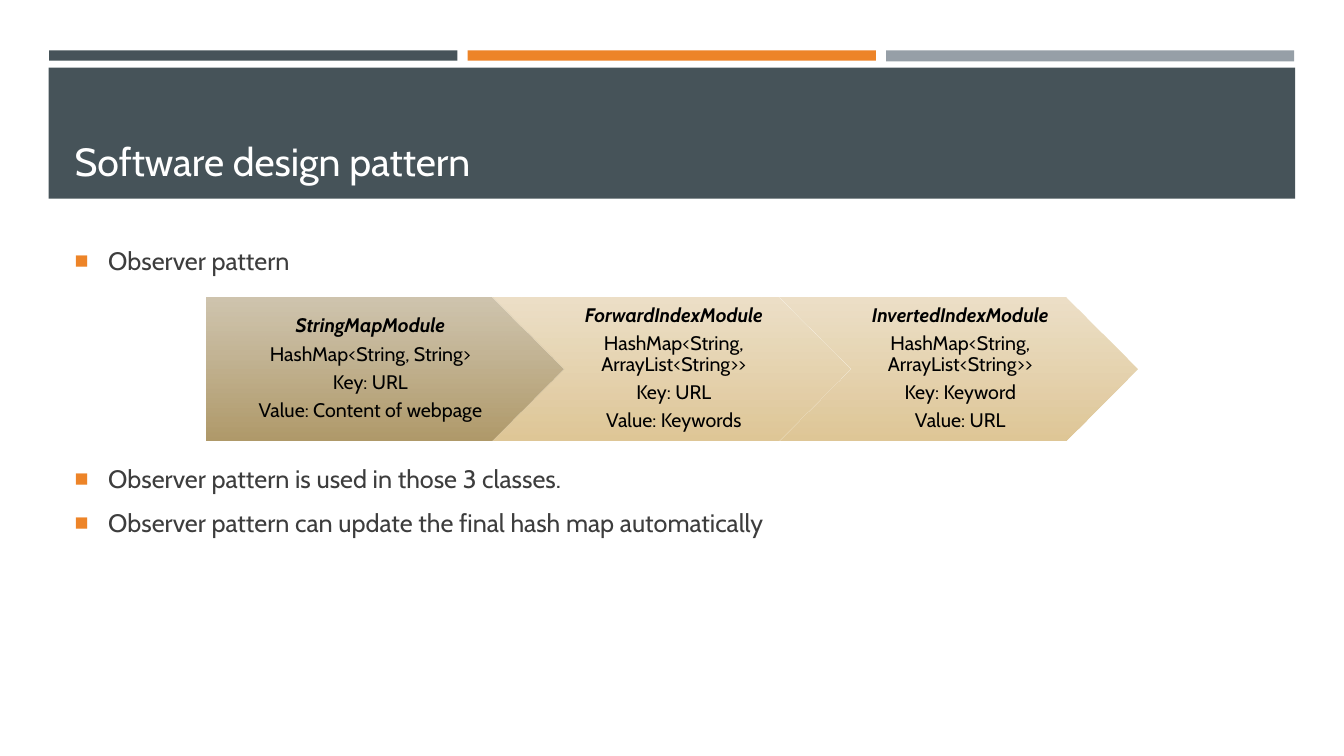
"""Build the slide on the observer pattern and its three modules."""
from lxml import etree
from pptx import Presentation
from pptx.dml.color import RGBColor
from pptx.enum import shapes, text
from pptx.oxml import ns
from pptx.util import Pt

SLATE = RGBColor(0x46, 0x53, 0x59)
ORANGE = RGBColor(0xED, 0x84, 0x28)
GREY = RGBColor(0x96, 0x9F, 0xA7)
WHITE = RGBColor(0xFF, 0xFF, 0xFF)
BLACK = RGBColor(0, 0, 0)
INK = RGBColor(0x3D, 0x3D, 0x3D)
TAUPE = (RGBColor(0xCA, 0xBE, 0xA5), RGBColor(0xB0, 0x9A, 0x6A))
SAND = (RGBColor(0xEB, 0xDC, 0xC1), RGBColor(0xDF, 0xC7, 0x97))
FONT = "Cabin"
RECT = shapes.MSO_SHAPE.RECTANGLE
PLATE = shapes.MSO_SHAPE.PENTAGON
CHEVRON = shapes.MSO_SHAPE.CHEVRON

TITLE = "Software design pattern"
BULLETS = [
    ("Observer pattern", 3.6),
    ("Observer pattern is used in those 3 classes.", 128.4),
    ("Observer pattern can update the final hash map automatically", 3.6),
]
MODULES = [
    (PLATE, TAUPE, 5.6, ["StringMapModule", "HashMap<String, String>",
                         "Key: URL", "Value: Content of webpage"]),
    (CHEVRON, SAND, 4.2, ["ForwardIndexModule", "HashMap<String, ArrayList<String>>",
                          "Key: URL", "Value: Keywords"]),
    (CHEVRON, SAND, 4.2, ["InvertedIndexModule", "HashMap<String, ArrayList<String>>",
                          "Key: Keyword", "Value: URL"]),
]
BAR_LEFT, BAR_TOP, BAR_WIDTH, BAR_STEP = 35.1, 36, 291.6, 298.9
BARS = [(SLATE, 7.4), (ORANGE, 7.4), (GREY, 7.9)]
BAND = (34.8, 48.4, 890.4, 93.6)
TITLE_BOX = (46.1, 55.4, 868.3, 79.9)
BODY_BOX = (46.1, 171.4, 868.3, 289.4)
STEP_LEFT, STEP_TOP, STEP_WIDTH, STEP_HEIGHT = 147.4, 212.2, 255.8, 102.3
STEP_PITCH = STEP_WIDTH * 0.8


def place(box, bounds):
    box.left, box.top, box.width, box.height = map(Pt, bounds)


def add_plain(page, kind, bounds):
    shape = page.shapes.add_shape(kind, *map(Pt, bounds))
    shape.shadow.inherit = False
    shape.line.fill.background()
    return shape


def add_backdrop(page, bounds, color):
    shape = add_plain(page, RECT, bounds)
    shape.fill.solid()
    shape.fill.fore_color.rgb = color
    page.shapes.title.element.addprevious(shape.element)


def style(para, size, color, bold=False):
    for span in para.runs:
        span.font.name = FONT
        span.font.size = Pt(size)
        span.font.color.rgb = color
        span.font.bold = span.font.italic = bold


def add_bullet(para):
    props = para.runs[0].font._element.getparent().getparent().get_or_add_pPr()
    props.set("marL", str(Pt(24)))
    props.set("indent", str(-Pt(24)))
    color = etree.SubElement(props, ns.qn("a:buClr"))
    etree.SubElement(color, ns.qn("a:srgbClr"), val=str(ORANGE))
    etree.SubElement(props, ns.qn("a:buSzPct"), val="92000")
    etree.SubElement(props, ns.qn("a:buFont"), typeface="Arial")
    etree.SubElement(props, ns.qn("a:buChar"), char="■")


def fill_gradient(shape, colors):
    shape.fill.gradient()
    shape.fill.gradient_angle = 270
    for stop, color, position in zip(shape.fill.gradient_stops, colors, (0, 1)):
        stop.color.rgb = color
        stop.position = position
    first = next(shape.element.iter(ns.qn("a:srgbClr")))
    etree.SubElement(first, ns.qn("a:alpha"), val="90000")


def add_module(page, index, kind, colors, inset, lines):
    left = STEP_LEFT + index * STEP_PITCH
    shape = add_plain(page, kind, (left, STEP_TOP, STEP_WIDTH, STEP_HEIGHT))
    fill_gradient(shape, colors)
    frame = shape.text_frame
    frame.word_wrap = True
    frame.vertical_anchor = text.MSO_ANCHOR.MIDDLE
    frame.margin_left, frame.margin_right = Pt(inset), Pt(1.4)
    frame.margin_top = frame.margin_bottom = Pt(2.8)
    frame.text = "\n".join(lines)
    for row, para in enumerate(frame.paragraphs):
        para.alignment = text.PP_ALIGN.CENTER
        para.line_spacing = 0.9
        para.space_after = Pt(4.9)
        style(para, 14, BLACK, bold=row == 0)


def main():
    deck = Presentation()
    deck.slide_width, deck.slide_height = Pt(960), Pt(540)
    page = deck.slides.add_slide(deck.slide_layouts[1])

    for index, (color, height) in enumerate(BARS):
        left = BAR_LEFT + index * BAR_STEP
        add_backdrop(page, (left, BAR_TOP, BAR_WIDTH, height), color)
    add_backdrop(page, BAND, SLATE)

    title = page.shapes.title
    place(title, TITLE_BOX)
    title.text_frame.text = TITLE
    title.text_frame.vertical_anchor = text.MSO_ANCHOR.BOTTOM
    title.text_frame.auto_size = text.MSO_AUTO_SIZE.NONE
    heading = title.text_frame.paragraphs[0]
    heading.alignment = text.PP_ALIGN.LEFT
    style(heading, 28, WHITE)

    body = page.placeholders[1]
    place(body, BODY_BOX)
    body.text_frame.text = "\n".join(line for line, _ in BULLETS)
    body.text_frame.auto_size = text.MSO_AUTO_SIZE.NONE
    for para, (_, before) in zip(body.text_frame.paragraphs, BULLETS):
        para.space_before, para.space_after = Pt(before), Pt(6)
        style(para, 18, INK)
        add_bullet(para)

    for index, module in enumerate(MODULES):
        add_module(page, index, *module)
    deck.save("out.pptx")


if __name__ == "__main__":
    main()
